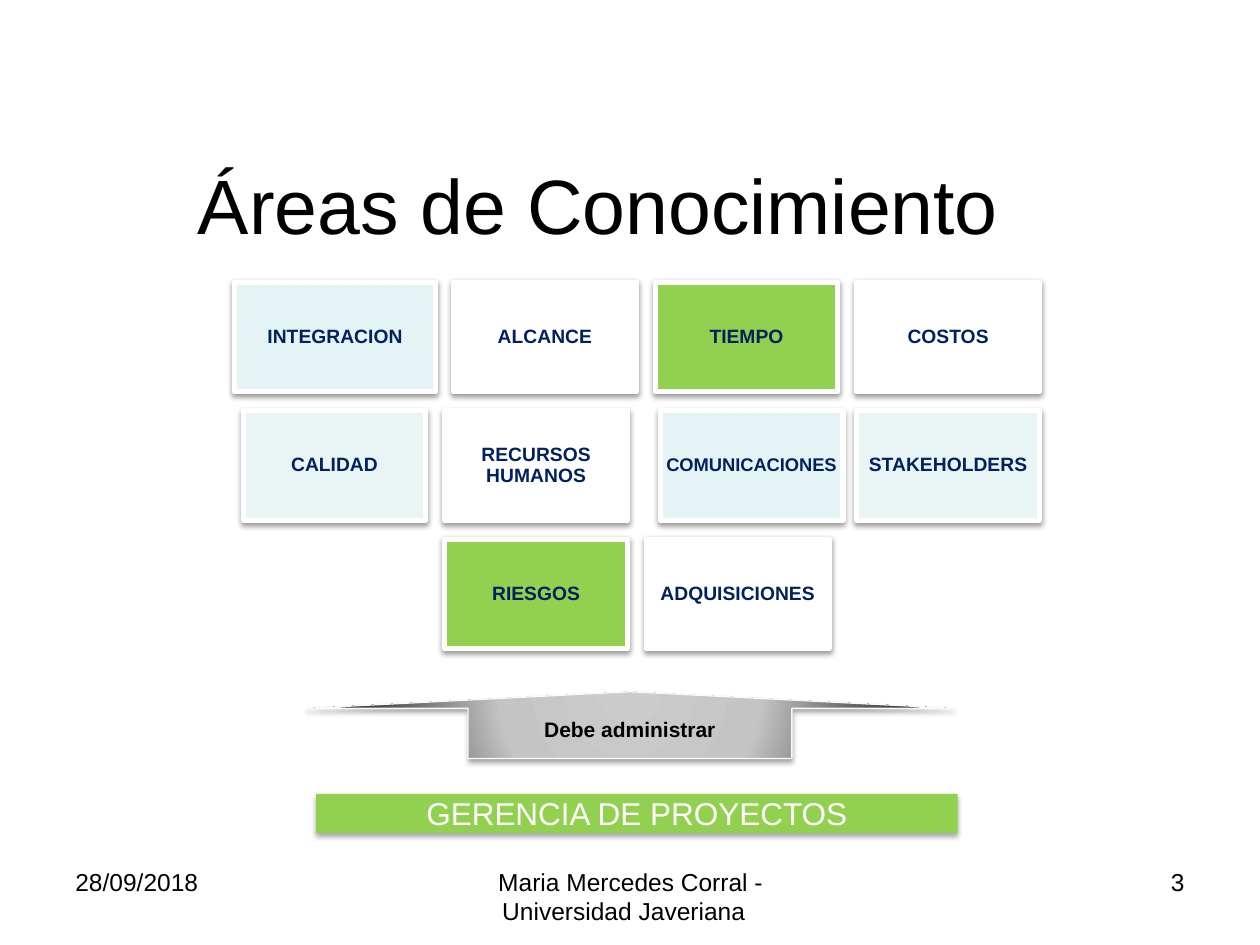
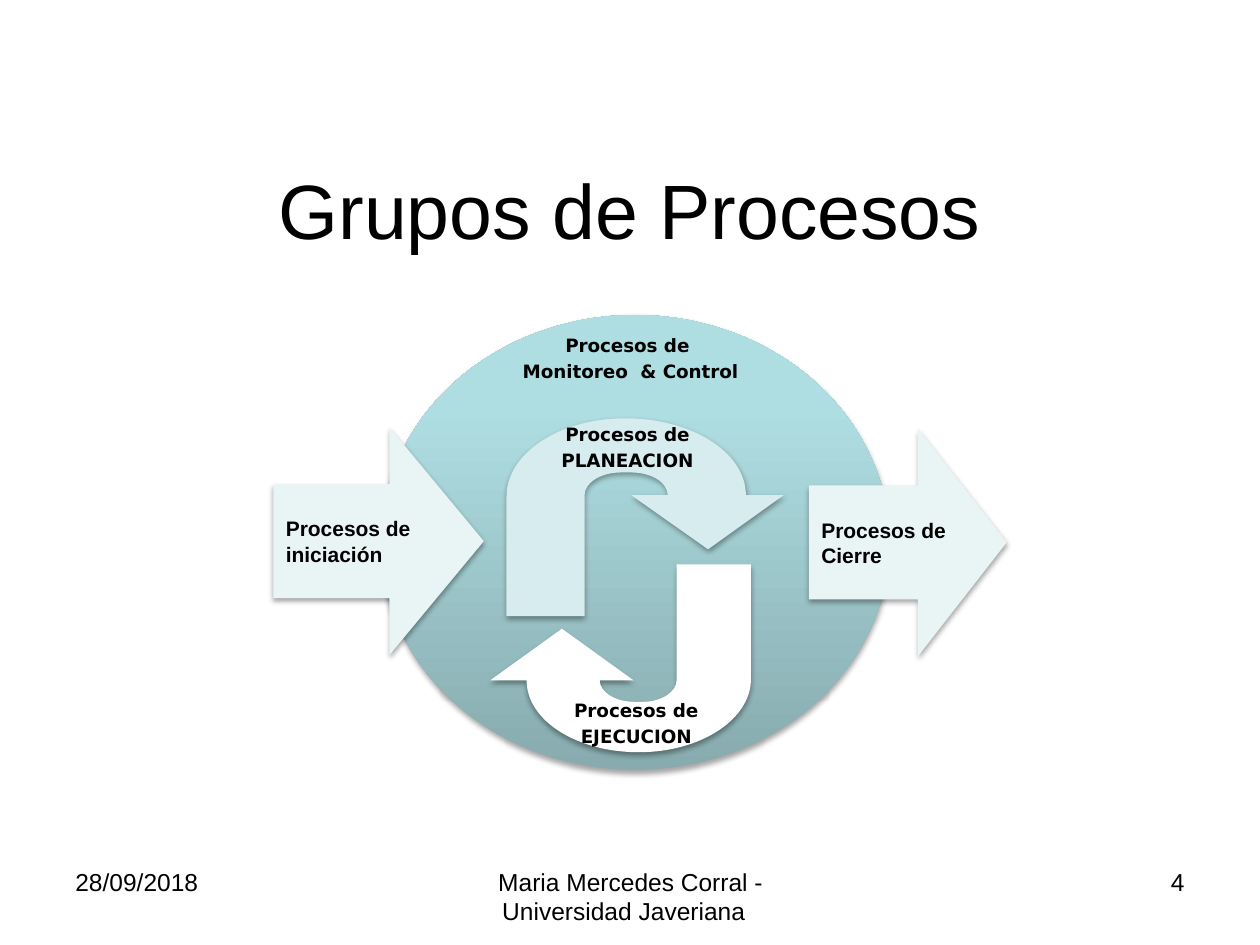
"""Build two slides on project management areas and process groups."""
from dataclasses import dataclass
from itertools import chain, islice
from typing import Any, Optional

from lxml import etree
from pptx import Presentation
from pptx.dml.color import RGBColor
from pptx.enum.shapes import MSO_SHAPE
from pptx.enum.text import MSO_ANCHOR, PP_ALIGN
from pptx.oxml.ns import qn
from pptx.util import Inches, Pt

RECT, OVAL = MSO_SHAPE.RECTANGLE, MSO_SHAPE.OVAL
UP, RIGHT = MSO_SHAPE.UP_ARROW, MSO_SHAPE.RIGHT_ARROW
MIDDLE, TOP = MSO_ANCHOR.MIDDLE, MSO_ANCHOR.TOP
LEFT, CENTER, END = PP_ALIGN.LEFT, PP_ALIGN.CENTER, PP_ALIGN.RIGHT

BLACK = RGBColor(0x00, 0x00, 0x00)
WHITE = RGBColor(0xFF, 0xFF, 0xFF)
EDGE = RGBColor(0xF9, 0xF9, 0xF9)
NAVY = RGBColor(0x00, 0x20, 0x60)
GREEN = RGBColor(0x92, 0xD0, 0x50)
ICE = RGBColor(0xE4, 0xF3, 0xF4)
PALE = RGBColor(0xE9, 0xF4, 0xF5)
MIST = RGBColor(0xD6, 0xEC, 0xEE)
SILVER = RGBColor(0xCC, 0xCC, 0xCC)
GREY = RGBColor(0xC4, 0xC4, 0xC4)
SLATE = RGBColor(0x87, 0xAB, 0xAE)
AQUA = RGBColor(0xAF, 0xDE, 0xE2)
SKY = RGBColor(0xAF, 0xE0, 0xE4)

Box = tuple[float, float, float, float]
Point = tuple[float, float]
Stop = tuple[int, RGBColor]


@dataclass(frozen=True)
class Style:
    """Format of the text in a box."""
    size: float
    color: RGBColor = BLACK
    bold: bool = False
    name: str = "Arial"
    align: Any = CENTER
    anchor: Any = MIDDLE
    side: float = 0.1
    gap: float = 0
    pitch: float = 1.0


@dataclass(frozen=True)
class Tile:
    """One knowledge area."""
    text: str
    row: int
    left: float
    fill: RGBColor
    width: float = 1.45
    size: float = 11


@dataclass(frozen=True)
class Arrow:
    """A block arrow for an entry or exit process."""
    text: str
    box: Box


@dataclass(frozen=True)
class Bend:
    """A bent arrow: each step holds one line end or three curve points."""
    fill: RGBColor
    start: Point
    steps: tuple[tuple[Point, ...], ...]


@dataclass(frozen=True)
class Label:
    """Two lines of text on the cycle."""
    text: str
    box: Box


TITLE = Style(44)
BAR = Style(18, WHITE)
STEM = Style(12, bold=True)
ENTRY = Style(12, bold=True, align=LEFT)
CYCLE = Style(10.5, bold=True, name="DejaVu Sans", anchor=TOP, side=0, gap=2.5)

TILES = (
    Tile("INTEGRACION", 0, 1.86, ICE, width=1.6),
    Tile("ALCANCE", 0, 3.6, WHITE),
    Tile("TIEMPO", 0, 5.2, GREEN),
    Tile("COSTOS", 0, 6.8, WHITE),
    Tile("CALIDAD", 1, 1.93, PALE),
    Tile("RECURSOS HUMANOS", 1, 3.53, WHITE),
    Tile("COMUNICACIONES", 1, 5.24, ICE, size=10.5),
    Tile("STAKEHOLDERS", 1, 6.8, PALE),
    Tile("RIESGOS", 2, 3.53, GREEN),
    Tile("ADQUISICIONES", 2, 5.13, WHITE),
)
ENTER = Arrow("Procesos de iniciación", (2.17, 3.39, 1.67, 1.81))
LEAVE = Arrow("Procesos de Cierre", (6.42, 3.4, 1.57, 1.81))
BENDS = (
    Bend(MIST, (5.62, 4.36), (
        ((6.22, 3.93),), ((5.92, 3.93),),
        ((5.92, 3.59), (5.49, 3.32), (4.96, 3.32)),
        ((4.44, 3.32), (4.02, 3.6), (4.02, 3.94)),
        ((4.02, 4.89),), ((4.64, 4.89),), ((4.64, 3.93),),
        ((4.64, 3.83), (4.77, 3.75), (4.93, 3.75)),
        ((5.01, 3.75),),
        ((5.17, 3.75), (5.3, 3.83), (5.3, 3.93)),
        ((5.01, 3.93),))),
    Bend(WHITE, (4.46, 4.99), (
        ((3.89, 5.4),), ((4.18, 5.4),),
        ((4.18, 5.72), (4.58, 5.97), (5.07, 5.97)),
        ((5.56, 5.97), (5.96, 5.71), (5.96, 5.39)),
        ((5.96, 4.48),), ((5.37, 4.48),), ((5.37, 5.4),),
        ((5.37, 5.49), (5.25, 5.57), (5.11, 5.57)),
        ((5.03, 5.57),),
        ((4.88, 5.57), (4.76, 5.49), (4.76, 5.4)),
        ((5.03, 5.4),))),
)
LABELS = (
    Label("Procesos de \nMonitoreo  & Control", (4.04, 2.6, 1.93, 0.49)),
    Label("Procesos de\nPLANEACION", (4.04, 3.31, 1.88, 0.49)),
    Label("Procesos de\nEJECUCION", (4.16, 5.5, 1.78, 0.49)),
)


def add_node(parent: Any, tag: str, **attrs: Any) -> Any:
    """Add a drawing element with its attributes."""
    return etree.SubElement(parent, qn(f"a:{tag}"),
                            {key: str(val) for key, val in attrs.items()})


def set_text(shape: Any, text: str, style: Style) -> None:
    """Write the lines of text in the given style."""
    frame = shape.text_frame
    frame.text = text
    form = {"word_wrap": True, "vertical_anchor": style.anchor,
            "margin_left": Inches(style.side),
            "margin_right": Inches(style.side),
            "margin_top": Inches(0.05), "margin_bottom": Inches(0.05)}
    for key, val in form.items():
        setattr(frame, key, val)
    face = {"name": style.name, "size": Pt(style.size), "bold": style.bold}
    for rank, para in enumerate(frame.paragraphs):
        para.alignment = style.align
        para.line_spacing = style.pitch
        if rank and style.gap:
            para.space_before = Pt(style.gap)
        for run in para.runs:
            for key, val in face.items():
                setattr(run.font, key, val)
            run.font.color.rgb = style.color


def add_text(slide: Any, box: Box, text: str, style: Style) -> None:
    """Add a text box."""
    set_text(slide.shapes.add_textbox(*map(Inches, box)), text, style)


def dress(shape: Any, fill: Optional[RGBColor] = None,
          line: Optional[RGBColor] = None, width: float = 0,
          alpha: int = 35, drop: float = 1.8) -> None:
    """Set fill, line and soft shadow."""
    if fill is not None:
        shape.fill.solid()
        shape.fill.fore_color.rgb = fill
    if line is None:
        shape.line.fill.background()
    else:
        shape.line.color.rgb = line
        shape.line.width = Pt(width)
    shape.shadow.inherit = False
    effects = shape._element.spPr.find(qn("a:effectLst"))
    shade = add_node(effects, "outerShdw", blurRad=Pt(3.1), dist=Pt(drop),
                     dir=5400000, rotWithShape=0)
    add_node(add_node(shade, "srgbClr", val=BLACK), "alpha", val=alpha * 1000)


def blend(shape: Any, stops: tuple[Stop, ...]) -> Any:
    """Fill with colour stops and return the gradient element."""
    shape.fill.gradient()
    grad = shape._element.spPr.find(qn("a:gradFill"))
    grad.clear()
    items = add_node(grad, "gsLst")
    for place, color in stops:
        add_node(add_node(items, "gs", pos=place * 1000), "srgbClr", val=color)
    return grad


def add_form(slide: Any, kind: Any, box: Box, *bends: float) -> Any:
    """Add a preset shape with its adjustments."""
    shape = slide.shapes.add_shape(kind, *map(Inches, box))
    for rank, bend in enumerate(bends):
        shape.adjustments[rank] = bend
    return shape


def add_tile(slide: Any, tile: Tile) -> None:
    """Draw one knowledge area."""
    box = (tile.left, 2.24 + 1.02 * tile.row, tile.width, 0.87)
    shape = add_form(slide, RECT, box)
    dress(shape, tile.fill, WHITE, 3, alpha=38, drop=1.6)
    set_text(shape, tile.text,
             Style(tile.size, NAVY, bold=True, side=0, pitch=0.9))


def add_arrow(slide: Any, arrow: Arrow) -> None:
    """Draw an entry or exit arrow."""
    shape = add_form(slide, RIGHT, arrow.box, 0.5, 0.449)
    dress(shape, PALE)
    set_text(shape, arrow.text, ENTRY)


def add_bend(slide: Any, bend: Bend) -> None:
    """Draw a bent arrow, joining each three-point step into one curve."""
    points = chain([bend.start], *bend.steps)
    first, *rest = [(Inches(x), Inches(y)) for x, y in points]
    build = slide.shapes.build_freeform(*first)
    build.add_line_segments(rest, close=True)
    shape = build.convert_to_shape()
    lines = iter(list(shape._element.iter(qn("a:lnTo"))))
    for step in bend.steps:
        parts = list(islice(lines, len(step)))
        if len(parts) == 3:
            curve = add_node(parts[0].getparent(), "cubicBezTo")
            parts[0].addprevious(curve)
            for part in parts:
                curve.append(part[0])
                part.getparent().remove(part)
    dress(shape, bend.fill)


def add_page(deck: Any, title: str, box: Box, number: int) -> Any:
    """Add a blank slide with title and footer."""
    slide = deck.slides.add_slide(deck.slide_layouts[6])
    add_text(slide, box, title, TITLE)
    foot = (("28/09/2018", 0.5, 2.33, LEFT),
            ("Maria Mercedes Corral - Universidad Javeriana  ", 3.42, 3.17, CENTER),
            (str(number), 7.17, 2.33, END))
    for text, left, width, align in foot:
        add_text(slide, (left, 6.83, width, 0.52), text,
                 Style(14, align=align, anchor=TOP))
    return slide


def draw_areas(deck: Any) -> None:
    """Draw the knowledge areas."""
    slide = add_page(deck, "Áreas de Conocimiento", (0.75, 1.05, 8, 1.14), 3)
    bar = add_form(slide, RECT, (2.51, 6.3, 5.09, 0.31))
    dress(bar, GREEN)
    set_text(bar, "GERENCIA DE PROYECTOS", BAR)
    stem = add_form(slide, UP, (2.43, 5.49, 5.14, 0.53), 0.5, 0.25)
    grad = blend(stem, ((0, SILVER), (40, GREY), (100, BLACK)))
    add_node(add_node(grad, "path", path="circle"), "fillToRect",
             l=50000, t=-80000, r=50000, b=180000)
    dress(stem, line=EDGE, width=0.75)
    set_text(stem, "Debe administrar", STEM)
    for tile in TILES:
        add_tile(slide, tile)


def draw_groups(deck: Any) -> None:
    """Draw the process groups."""
    slide = add_page(deck, "Grupos de Procesos", (0.5, 1.03, 9, 1.25), 4)
    disc = add_form(slide, OVAL, (3.02, 2.5, 4.04, 3.61))
    grad = blend(disc, ((0, SLATE), (80, AQUA), (100, SKY)))
    add_node(grad, "lin", ang=270 * 60000, scaled=0)
    dress(disc)
    add_arrow(slide, ENTER)
    for bend in BENDS:
        add_bend(slide, bend)
    for label in LABELS:
        add_text(slide, label.box, label.text, CYCLE)
    add_arrow(slide, LEAVE)


def main() -> None:
    """Build and save the deck."""
    deck = Presentation()
    deck.slide_width, deck.slide_height = Inches(10), Inches(7.5)
    draw_areas(deck)
    draw_groups(deck)
    deck.save("out.pptx")


if __name__ == "__main__":
    main()
